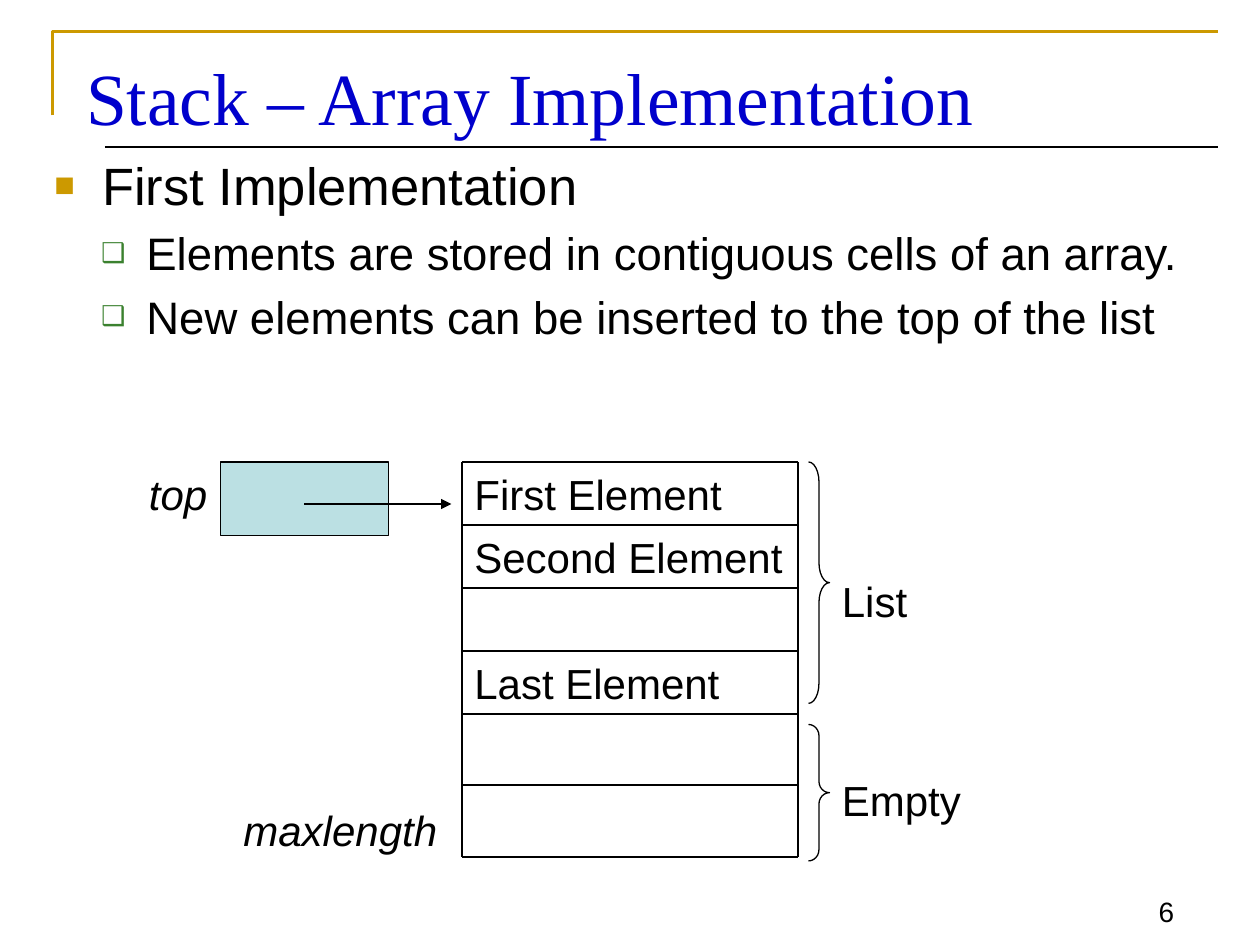
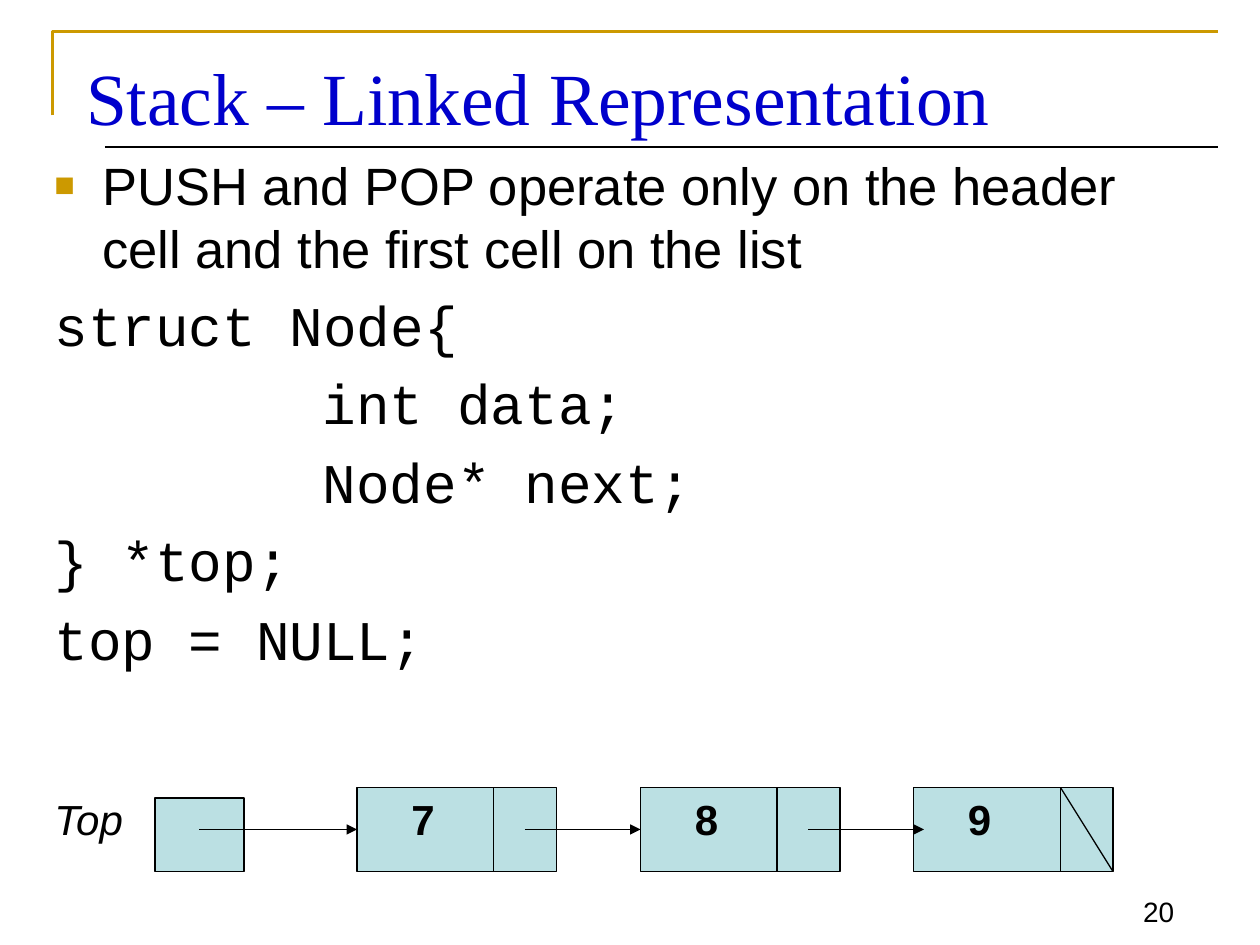
from dataclasses import dataclass

from lxml.etree import SubElement
from pptx import Presentation
from pptx.dml.color import RGBColor
from pptx.enum.shapes import MSO_CONNECTOR, MSO_SHAPE
from pptx.enum.text import MSO_ANCHOR, MSO_AUTO_SIZE, PP_ALIGN
from pptx.oxml.ns import qn
from pptx.util import Inches, Pt


@dataclass(frozen=True)
class Theme:
    ink: str = "000000"
    blue: str = "0000CC"
    gold: str = "CC9900"
    green: str = "3B812F"
    cell: str = "BBE0E3"
    sans: str = "Arial"
    serif: str = "Times New Roman"
    mono: str = "Courier New"
    head: int = 42
    code: int = 32
    main: int = 30
    sub: int = 26
    label: int = 24
    page: int = 16
    thin: float = 0.75
    rule: float = 1
    band: float = 1.5


THEME = Theme()
COLS, ROWS = 120, 90  # grid cells of a twelfth of an inch
MAIN = dict(size=THEME.main, left=0.38, hang=-0.38, gap=20,
            bullet=("■", THEME.gold, 65))
SUB = dict(size=THEME.sub, left=0.73, hang=-0.36, gap=20,
           bullet=("❑", THEME.green, 60))
CODE = dict(size=THEME.code, font=THEME.mono, left=0.38, hang=-0.38, gap=20)
INNER = CODE | dict(left=2.13, hang=0)


def cells(*counts):
    return [Inches(n / 12) for n in counts]


def tint(name):
    return RGBColor.from_string(name)


def write(para, text, size=THEME.label, font=THEME.sans, color=THEME.ink,
          bold=False, italic=False, align=PP_ALIGN.LEFT,
          left=0, hang=0, gap=0, bullet=None):
    """Fill one paragraph; gap is the space before it in percent of a line."""
    run = para.add_run()
    run.text = text
    face = run.font
    face.name, face.size, face.bold, face.italic = font, Pt(size), bold, italic
    face.color.rgb = tint(color)
    para.alignment = align
    props = para._p.get_or_add_pPr()
    props.set("marL", str(Inches(left)))
    props.set("indent", str(Inches(hang)))
    space = SubElement(props, qn("a:spcBef"))
    SubElement(space, qn("a:spcPct"), val=str(gap * 1000))
    if bullet:
        mark, shade, share = bullet
        fill = SubElement(props, qn("a:buClr"))
        SubElement(fill, qn("a:srgbClr"), val=shade)
        SubElement(props, qn("a:buSzPct"), val=str(share * 1000))
        SubElement(props, qn("a:buFont"), typeface=THEME.sans)
        SubElement(props, qn("a:buChar"), char=mark)
    else:
        SubElement(props, qn("a:buNone"))


def label(slide, box, text, anchor=MSO_ANCHOR.TOP, **form):
    frame = slide.shapes.add_textbox(*cells(*box)).text_frame
    frame.word_wrap = True
    frame.vertical_anchor = anchor
    write(frame.paragraphs[0], text, **form)


def line(slide, x1, y1, x2, y2, width=THEME.thin, arrow=False):
    link = slide.shapes.add_connector(MSO_CONNECTOR.STRAIGHT,
                                      *cells(x1, y1, x2, y2))
    link.line.color.rgb = tint(THEME.ink)
    link.line.width = Pt(width)
    if arrow:
        SubElement(link.line._get_or_add_ln(), qn("a:tailEnd"), type="triangle")
    SubElement(link._element.spPr, qn("a:effectLst"))


def style(shape, fill=None, color=THEME.ink, width=THEME.thin):
    shape.shadow.inherit = False
    if fill:
        shape.fill.solid()
        shape.fill.fore_color.rgb = tint(fill)
    else:
        shape.fill.background()
    shape.line.color.rgb = tint(color)
    shape.line.width = Pt(width)


def block(slide, box):
    shape = slide.shapes.add_shape(MSO_SHAPE.RECTANGLE, *cells(*box))
    style(shape, THEME.cell)


def brace(slide, box, text, drop):
    """Right brace with a label that starts drop rows below its top."""
    x, y, w, h = box
    shape = slide.shapes.add_shape(MSO_SHAPE.RIGHT_BRACE, *cells(*box))
    shape.adjustments[0] = h / 24
    style(shape)
    label(slide, (x + w, y + drop, 14, 6), text)


def base(deck, title, page):
    """Add a slide with the corner band, title, rule and page number."""
    slide = deck.slides.add_slide(deck.slide_layouts[5])
    corner = slide.shapes.build_freeform(*cells(5, 11))
    corner.add_line_segments([cells(5, 3), cells(116, 3)], close=False)
    style(corner.convert_to_shape(), color=THEME.gold, width=THEME.band)
    line(slide, 10, 14, 116, 14)
    label(slide, (105, 83, 8, 6), page, anchor=MSO_ANCHOR.BOTTOM,
          size=THEME.page, align=PP_ALIGN.RIGHT)

    head = slide.shapes.title
    head.left, head.top, head.width, head.height = cells(7, 4, 109, 9)
    frame = head.text_frame
    frame.auto_size = MSO_AUTO_SIZE.NONE
    frame.vertical_anchor = MSO_ANCHOR.TOP
    frame.margin_top = Inches(0.08)
    write(frame.paragraphs[0], title, size=THEME.head, font=THEME.serif,
          color=THEME.blue)
    return slide


def body(slide, box, items):
    frame = slide.shapes.add_textbox(*cells(*box)).text_frame
    frame.word_wrap = True
    for i, (text, form) in enumerate(items):
        para = frame.add_paragraph() if i else frame.paragraphs[0]
        write(para, text, **form)


def array(slide, box):
    """Ruled column of cells, some of them named."""
    x, y, w, h = box
    for row in (0, 6, 12, 18, 24, 30.75, h):
        line(slide, x, y + row, x + w, y + row, THEME.rule)
    for side in (x, x + w):
        line(slide, side, y, side, y + h, THEME.rule)
    names = {0: "First Element", 6: "Second Element", 18: "Last Element"}
    for row, name in names.items():
        label(slide, (x, y + row, w, 6), name)


def node(slide, box, text, split=13, last=False):
    """List cell: a value, then a link to the next cell or a slash."""
    x, y, w, h = box
    block(slide, box)
    line(slide, x + split, y, x + split, y + h)
    label(slide, (x + 4, y, 6, 6), text, bold=True)
    if last:
        line(slide, x + split, y, x + w, y + h)
    else:
        line(slide, x + 16, y + h / 2, x + 27, y + h / 2, arrow=True)


def stack(deck):
    slide = base(deck, "Stack – Array Implementation", "6")
    body(slide, (4, 14, 112, 20), [
        ("First Implementation", MAIN),
        ("Elements are stored in contiguous cells of an array.", SUB),
        ("New elements can be inserted to the top of the list", SUB),
    ])
    array(slide, (44, 44, 32, 37.6))
    brace(slide, (77, 44, 2, 23), "List", 10.25)
    brace(slide, (77, 69, 2, 13), "Empty", 4.2)
    label(slide, (22, 76, 23, 6), "maxlength", italic=True)
    block(slide, (21, 44, 16, 7))
    line(slide, 29, 48, 43, 48, arrow=True)
    label(slide, (13, 44, 8, 6), "top", italic=True)


def chain(deck):
    slide = base(deck, "Stack – Linked Representation", "20")
    body(slide, (4, 14, 112, 52), [
        ("PUSH and POP operate only on the header cell and the first cell "
         "on the list", MAIN),
        ("struct Node{", CODE),
        ("int data;", INNER),
        ("Node* next;", INNER),
        ("} *top;", CODE),
        ("top = NULL;", CODE),
    ])
    block(slide, (14.75, 76, 8.5, 7))
    # The last cell goes first so that the arrow into it stays on top.
    node(slide, (87, 75, 19, 8), "9", split=14, last=True)
    node(slide, (61, 75, 19, 8), "8")
    node(slide, (34, 75, 19, 8), "7")
    line(slide, 19, 79, 34, 79, arrow=True)
    label(slide, (4, 75, 10.7, 6), "Top", italic=True)


def main():
    deck = Presentation()
    deck.slide_width, deck.slide_height = cells(COLS, ROWS)
    stack(deck)
    chain(deck)
    deck.save("out.pptx")


if __name__ == "__main__":
    main()
